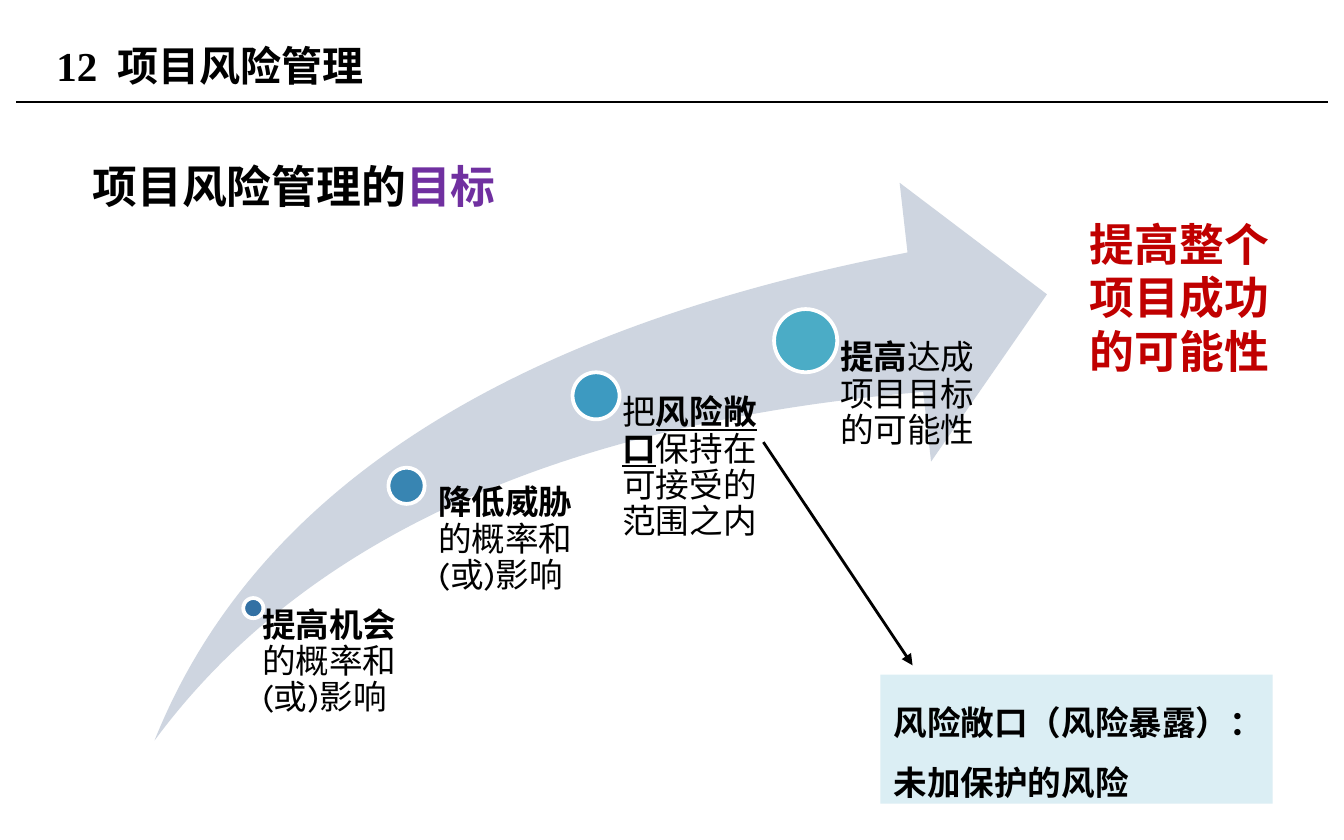
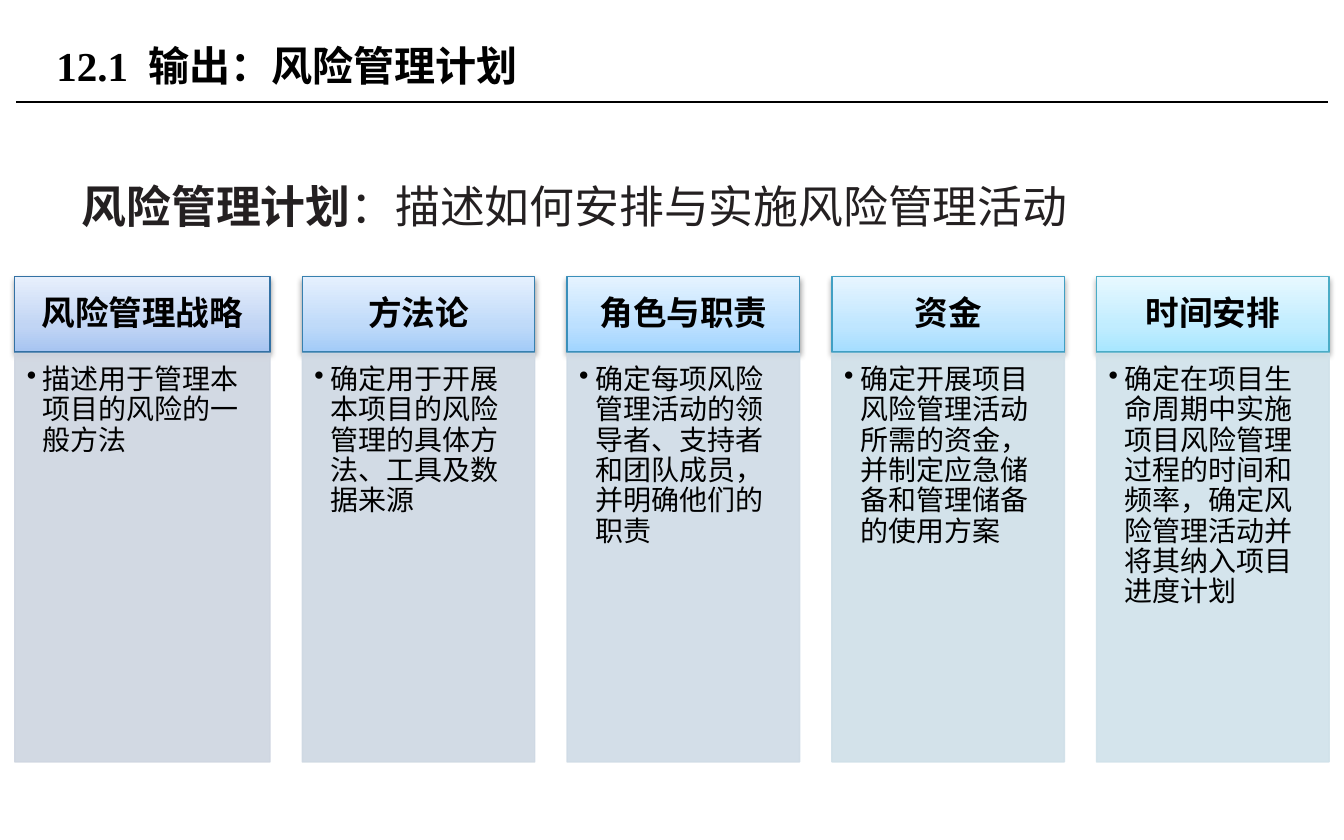
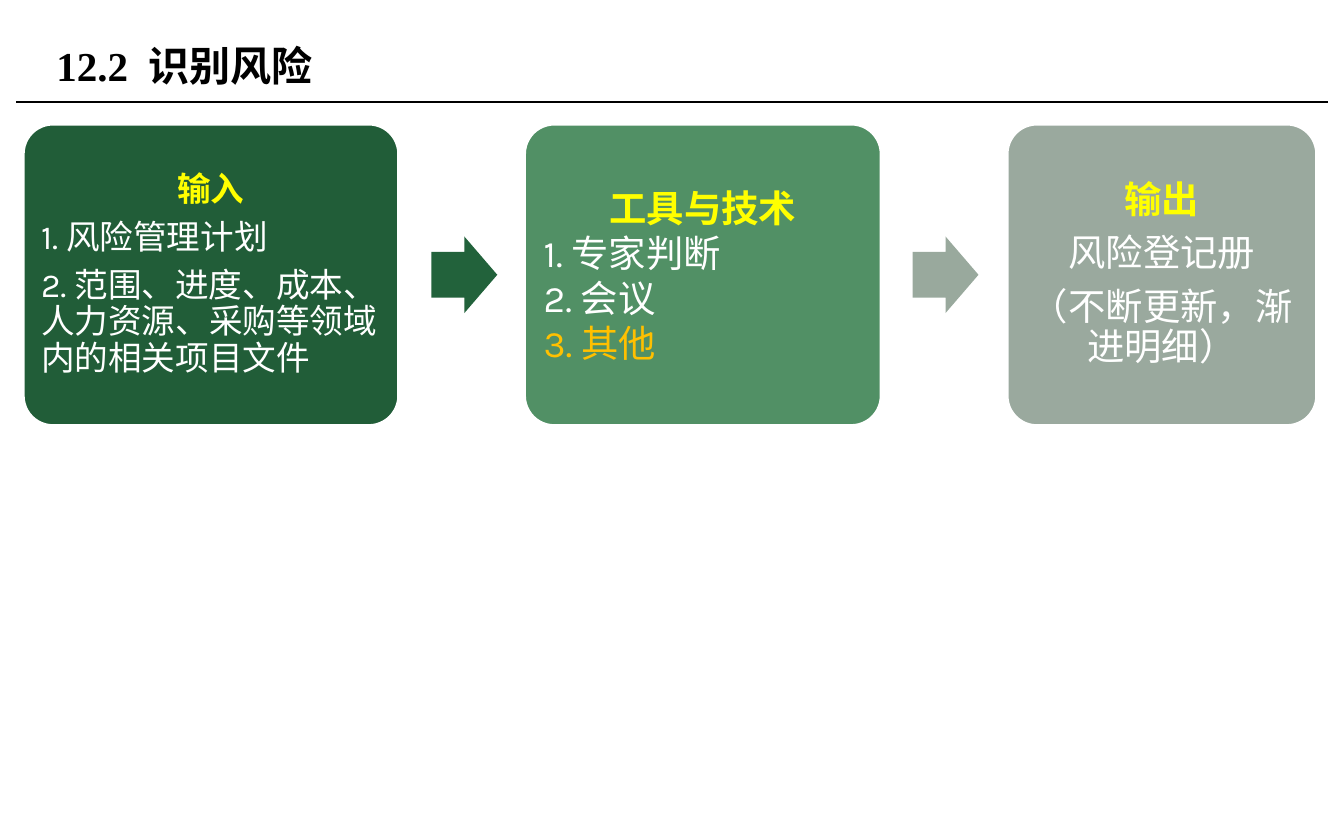
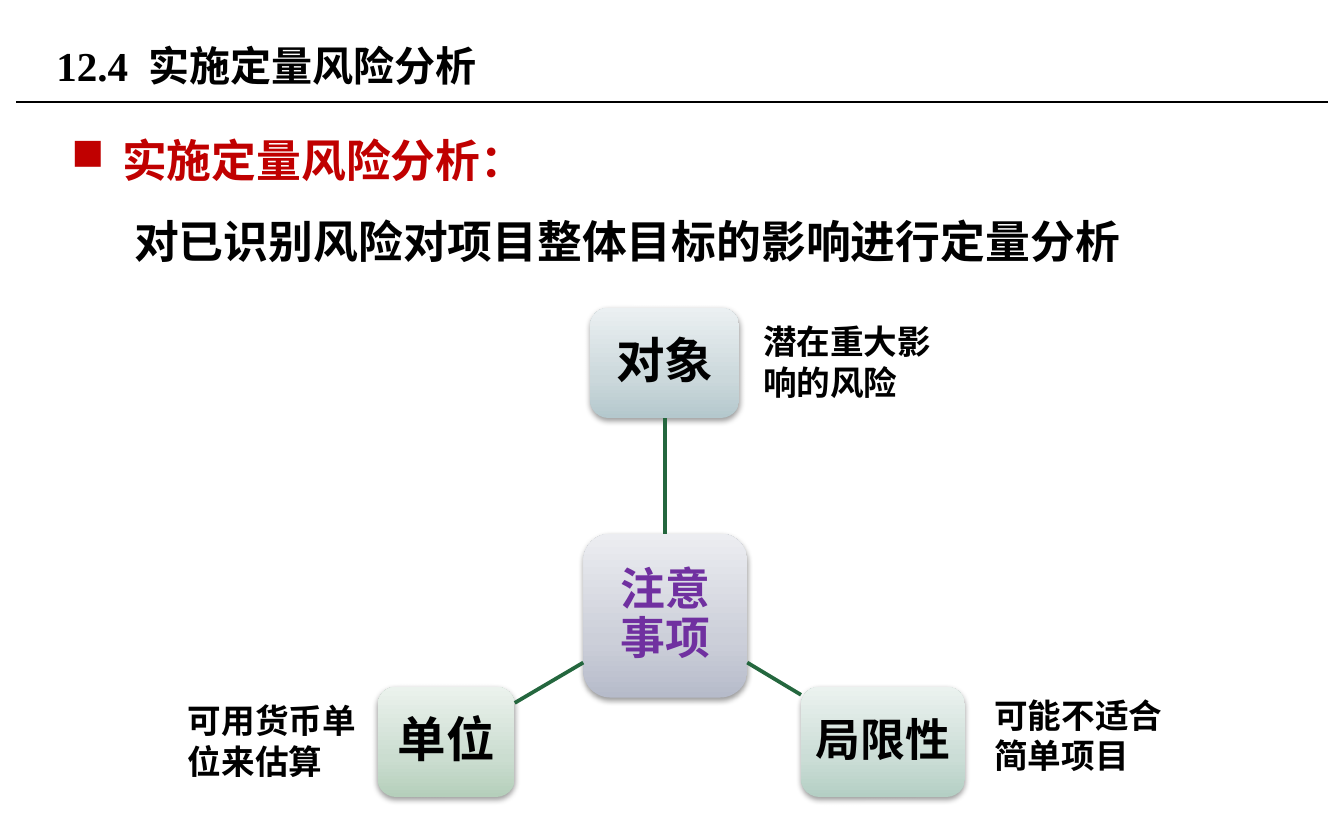
from copy import deepcopy

from lxml.etree import SubElement
from pptx import Presentation
from pptx.dml.color import RGBColor
from pptx.enum.shapes import MSO_CONNECTOR, MSO_SHAPE as SHAPE
from pptx.enum.text import MSO_ANCHOR as ANCHOR, MSO_AUTO_SIZE as FIT, PP_ALIGN as ALIGN
from pptx.oxml.ns import qn
from pptx.util import Inches, Pt

rgb = RGBColor.from_string
BLACK, WHITE, YELLOW, RED, PURPLE = "000000", "FFFFFF", "FFFF00", "C00000", "7030A0"
SERIF, SANS = "Times New Roman", "Karla"


def paint(shape, color, line=None, width=0.75):
    """Fill with one colour, or with three from bottom to top plus a soft shadow."""
    shape.shadow.inherit = False
    if isinstance(color, str):
        shape.fill.solid()
        shape.fill.fore_color.rgb = rgb(color)
    else:
        shape.fill.gradient()
        shape.fill.gradient_angle = 90
        properties = shape._element.spPr
        stops = properties.find(qn("a:gradFill")).find(qn("a:gsLst"))
        stops.insert(1, deepcopy(stops[0]))
        for stop, position, hue in zip(shape.fill.gradient_stops, (0, 0.35, 1), color):
            stop.position = position
            stop.color.rgb = rgb(hue)
        shadow = SubElement(properties.find(qn("a:effectLst")), qn("a:outerShdw"),
                            blurRad="40000", dist="20000", dir="5400000", rotWithShape="0")
        shade = SubElement(shadow, qn("a:srgbClr"), val=BLACK)
        SubElement(shade, qn("a:alpha"), val="38000")
    if line:
        shape.line.color.rgb = rgb(line)
        shape.line.width = Pt(width)
    else:
        shape.line.fill.background()


def write(shape, lines, size, font=SANS, align=ALIGN.LEFT, anchor=ANCHOR.TOP,
          insets=(0.1, 0.05, 0.1, 0.05), spacing=None, after=None, bullet=None, fit=FIT.NONE):
    """Each line is a list of (text, colour, bold); bullet is (sign, hanging indent)."""
    frame = shape.text_frame
    frame.word_wrap, frame.auto_size, frame.vertical_anchor = True, fit, anchor
    (frame.margin_left, frame.margin_top,
     frame.margin_right, frame.margin_bottom) = map(Inches, insets)
    for number, runs in enumerate(lines):
        paragraph = frame.add_paragraph() if number else frame.paragraphs[0]
        paragraph.alignment = align
        if spacing:
            paragraph.line_spacing = spacing
        if after:
            paragraph.space_after = Pt(size * after)
        if bullet and number == 0:
            sign, hang = bullet
            properties = paragraph._p.get_or_add_pPr()
            properties.set("marL", str(Inches(hang)))
            properties.set("indent", str(-Inches(hang)))
            SubElement(properties, qn("a:buChar"), char=sign)
        paragraph.font.size = Pt(size)
        paragraph.font.name = font
        for text, color, bold in runs:
            run = paragraph.add_run()
            run.text = text
            style = paragraph.font if len(runs) == 1 else run.font
            style.bold = bold
            style.color.rgb = rgb(color)
    return frame


deck = Presentation()
deck.slide_width, deck.slide_height = Inches(10), Inches(6.25)

# Slides with their titles; every straight line is collected and drawn at the end
slides, strokes = [], []
for heading in ("12  项目风险管理", "12.1  输出：风险管理计划",
                "12.2  识别风险", "12.4  实施定量风险分析"):
    slide = deck.slides.add_slide(deck.slide_layouts[5])
    title = slide.shapes.title
    title.left, title.top, title.width, title.height = map(Inches, (0.32, 0.13, 6.38, 0.71))
    write(title, [[(heading, BLACK, True)]], 22, SERIF, anchor=ANCHOR.MIDDLE)
    slides.append(slide)
    strokes.append((slide, (0.12, 0.76, 9.88, 0.76), BLACK, 0.75, False))
goals, plan, identify, quantify = slides

# Slide 1: rising arrow with milestones
swoosh = goals.shapes.add_shape(SHAPE.SWOOSH_ARROW, *map(Inches, (1.15, 1.36, 6.64, 4.15)))
swoosh.adjustments[0] = swoosh.adjustments[1] = 0.25
paint(swoosh, "CED5E0")

milestones = [
    (1.81, 4.45, 0.15, "3371A4", 1.87, 1.16, 0.08,
     [("提高机会", BLACK, True), ("的概率和(或)影响", BLACK, False)]),
    (2.89, 3.48, 0.27, "3885B2", 3.12, 1.2, 0.14,
     [("降低威胁", BLACK, True), ("的概率和(或)影响", BLACK, False)]),
    (4.26, 2.77, 0.35, "3D9AC1", 4.44, 1.39, 0.19,
     [("把", BLACK, False), ("风险敞口", BLACK, True), ("保持在可接受的范围之内", BLACK, False)]),
    (5.76, 2.3, 0.47, "4BACC6", 6, 1.39, 0.25,
     [("提高", BLACK, True), ("达成项目目标的可能性", BLACK, False)]),
]
for left, top, size, color, text_left, width, inset, runs in milestones:
    dot = goals.shapes.add_shape(SHAPE.OVAL, *map(Inches, (left, top, size, size)))
    paint(dot, color, WHITE, 2)
    middle = top + size / 2
    caption = goals.shapes.add_textbox(*map(Inches, (text_left, middle, width, 5.51 - middle)))
    frame = write(caption, [runs], 18, insets=(inset, 0, 0, 0), spacing=0.9, after=0.35)
    for run in frame.paragraphs[0].runs:
        if run.text == "风险敞口":
            run.font.underline = True

# Slide 1: heading, overall goal and the explained term
subject = goals.shapes.add_textbox(*map(Inches, (0.59, 0.93, 8.98, 3.9)))
write(subject, [[("项目风险管理的", BLACK, True), ("目标", PURPLE, True)]], 24, SERIF, spacing=1.5)

outcome = goals.shapes.add_textbox(*map(Inches, (8.01, 1.56, 1.64, 1.31)))
write(outcome, [[("提高整个项目成功的可能性", RED, True)]], 24, fit=FIT.SHAPE_TO_FIT_TEXT)

exposure = goals.shapes.add_shape(SHAPE.RECTANGLE, *map(Inches, (6.55, 5.02, 2.92, 0.96)))
paint(exposure, "DBEEF4")
frame = write(exposure, [[("风险敞口（", BLACK, True), ("风险暴露）：", BLACK, True)],
                         [("未加保护的风险", BLACK, True)]],
              18, spacing=1.5, fit=FIT.SHAPE_TO_FIT_TEXT)
frame.paragraphs[0].runs[1].font.name = SERIF
frame.paragraphs[1].font.name = SERIF
strokes.append((goals, (5.68, 3.29, 6.79, 4.95), BLACK, 1.5, True))

# Slide 2: definition and five columns
definition = plan.shapes.add_textbox(*map(Inches, (0.51, 1.08, 8.98, 3.9)))
write(definition, [[("风险管理计划", "242021", True),
                    ("：描述如何安排与实施风险管理活动", "242021", False)]],
      24, "Roboto", spacing=1.5)

columns = [
    ("风险管理战略", 1.9, ("A6C4F1", "C1D5F4", "E7EFFC"), "3371A4", "CED5E0",
     "描述用于管理本项目的风险的一般方法"),
    ("方法论", 1.73, ("A2CBF8", "BFDAF9", "E5F0FE"), "3780AF", "CED8E3",
     "确定用于开展本项目的风险管理的具体方法、工具及数据来源"),
    ("角色与职责", 1.73, ("A0D4FF", "BCE0FF", "E5F3FF"), "3A8FBA", "CFDBE6",
     "确定每项风险管理活动的领导者、支持者和团队成员，并明确他们的职责"),
    ("资金", 1.73, ("A4DDFF", "BFE6FF", "E7F5FF"), "409FC3", "CFDFE8",
     "确定开展项目风险管理活动所需的资金，并制定应急储备和管理储备的使用方案"),
    ("时间安排", 1.73, ("A7E6FF", "C1EDFF", "E7F8FF"), "4BACC6", "D0E2EA",
     "确定在项目生命周期中实施项目风险管理过程的时间和频率，"
     "确定风险管理活动并将其纳入项目进度计划"),
]
left = 0.11
for name, width, gradient, edge, tint, detail in columns:
    header = plan.shapes.add_shape(SHAPE.RECTANGLE, *map(Inches, (left, 2.06, width, 0.56)))
    paint(header, gradient, edge)
    write(header, [[(name, BLACK, True)]], 18, align=ALIGN.CENTER, anchor=ANCHOR.MIDDLE,
          insets=(0.14, 0.08, 0.14, 0.08), spacing=0.9, after=0.35)
    panel = plan.shapes.add_shape(SHAPE.RECTANGLE, *map(Inches, (left, 2.63, width, 3.04)))
    paint(panel, tint, tint)
    for shade in panel._element.spPr.iter(qn("a:srgbClr")):
        SubElement(shade, qn("a:alpha"), val="90000")
    write(panel, [[(detail, BLACK, False)]], 15, insets=(0.09, 0.09, 0.12, 0.13),
          spacing=0.9, after=0.15, bullet=("•", 0.12))
    left += width + 0.24

# Slide 3: inputs, tools and outputs
stages = [
    (0.17, 2.8, "215D38", 18, 0.07, 0.9, 0.35, ALIGN.LEFT,
     [("输入", YELLOW, True), ("1. 风险管理计划", WHITE, False),
      ("2. 范围、进度、成本、人力资源、采购等领域内的相关项目文件", WHITE, False)]),
    (3.9, 2.66, "519065", 20, 0.08, None, None, ALIGN.LEFT,
     [("工具与技术", YELLOW, True), ("1. 专家判断", WHITE, False),
      ("2. 会议", WHITE, False), ("3. 其他", "FFC000", False)]),
    (7.49, 2.31, "9AA99E", 20, 0.08, 0.9, 0.35, ALIGN.CENTER,
     [("输出", YELLOW, True), ("风险登记册", WHITE, False),
      ("（不断更新，渐进明细）", WHITE, False)]),
]
for left, width, color, size, inset, spacing, after, align, items in stages:
    stage = identify.shapes.add_shape(SHAPE.ROUNDED_RECTANGLE,
                                      *map(Inches, (left, 0.92, width, 2.25)))
    stage.adjustments[0] = 0.1
    paint(stage, color, WHITE, 2)
    frame = write(stage, [[item] for item in items], size, align=align, anchor=ANCHOR.MIDDLE,
                  insets=[inset] * 4, spacing=spacing, after=after)
    frame.paragraphs[0].alignment = ALIGN.CENTER

for left, color in ((3.21, "22623B"), (6.79, "99A99D")):
    step = identify.shapes.add_shape(SHAPE.RIGHT_ARROW, *map(Inches, (left, 1.76, 0.49, 0.57)))
    step.adjustments[0], step.adjustments[1] = 0.6, 0.5
    paint(step, color)

# Slide 4: definition
meaning = quantify.shapes.add_textbox(*map(Inches, (0.43, 0.74, 9.29, 3.9)))
frame = write(meaning, [[("实施定量风险分析：", RED, True)],
                        [("对已识别风险对项目整体目标的影响进行定量分析", BLACK, True)]],
              24, SERIF, spacing=1.5, bullet=("■", 0.38))
frame.paragraphs[1]._p.get_or_add_pPr().set("marL", str(Inches(0.47)))

# Slide 4: hub with three considerations
considerations = [
    ("注意事项", (4.34, 3.97, 1.22, 1.22), ("B6BBCA", "CCCFD9", "ECEDF1"), 24, SANS, PURPLE),
    ("对象", (4.39, 2.29, 1.11, 0.82), ("B4C8CD", "CBD8DB", "EBF0F2"), 26, SERIF, BLACK),
    ("局限性", (5.96, 5.11, 1.22, 0.82), ("B4CFC4", "CBDDD6", "EBF2EF"), 24, SERIF, BLACK),
    ("单位", (2.81, 5.11, 1.02, 0.82), ("B5CFBB", "CBDDD0", "EBF2ED"), 26, SERIF, BLACK),
]
for name, box, gradient, size, font, color in considerations:
    node = quantify.shapes.add_shape(SHAPE.ROUNDED_RECTANGLE, *map(Inches, box))
    paint(node, gradient)
    write(node, [[(name, color, True)]], size, font, ALIGN.CENTER, ANCHOR.MIDDLE,
          insets=[0.07] * 4, spacing=0.9, after=0.35)

for remark, left, top, width in (("潜在重大影响的风险", 5.58, 2.34, 1.55),
                                 ("可用货币单位来估算", 1.3, 5.16, 1.61),
                                 ("可能不适合简单项目", 7.3, 5.12, 1.61)):
    note = quantify.shapes.add_textbox(*map(Inches, (left, top, width, 0.71)))
    write(note, [[(remark, BLACK, True)]], 18, SERIF, fit=FIT.SHAPE_TO_FIT_TEXT)

for spoke in ((4.95, 3.97, 4.95, 3.11), (5.56, 4.93, 5.96, 5.17), (4.34, 4.93, 3.83, 5.23)):
    strokes.append((quantify, spoke, "24673E", 2, False))

# Title rules, the pointer to the term and the spokes
for slide, ends, color, width, pointed in strokes:
    stroke = slide.shapes.add_connector(MSO_CONNECTOR.STRAIGHT, *map(Inches, ends))
    stroke.line.color.rgb = rgb(color)
    stroke.line.width = Pt(width)
    if pointed:
        SubElement(stroke.line._get_or_add_ln(), qn("a:tailEnd"), type="triangle")
    SubElement(stroke._element.spPr, qn("a:effectLst"))

deck.save("out.pptx")
